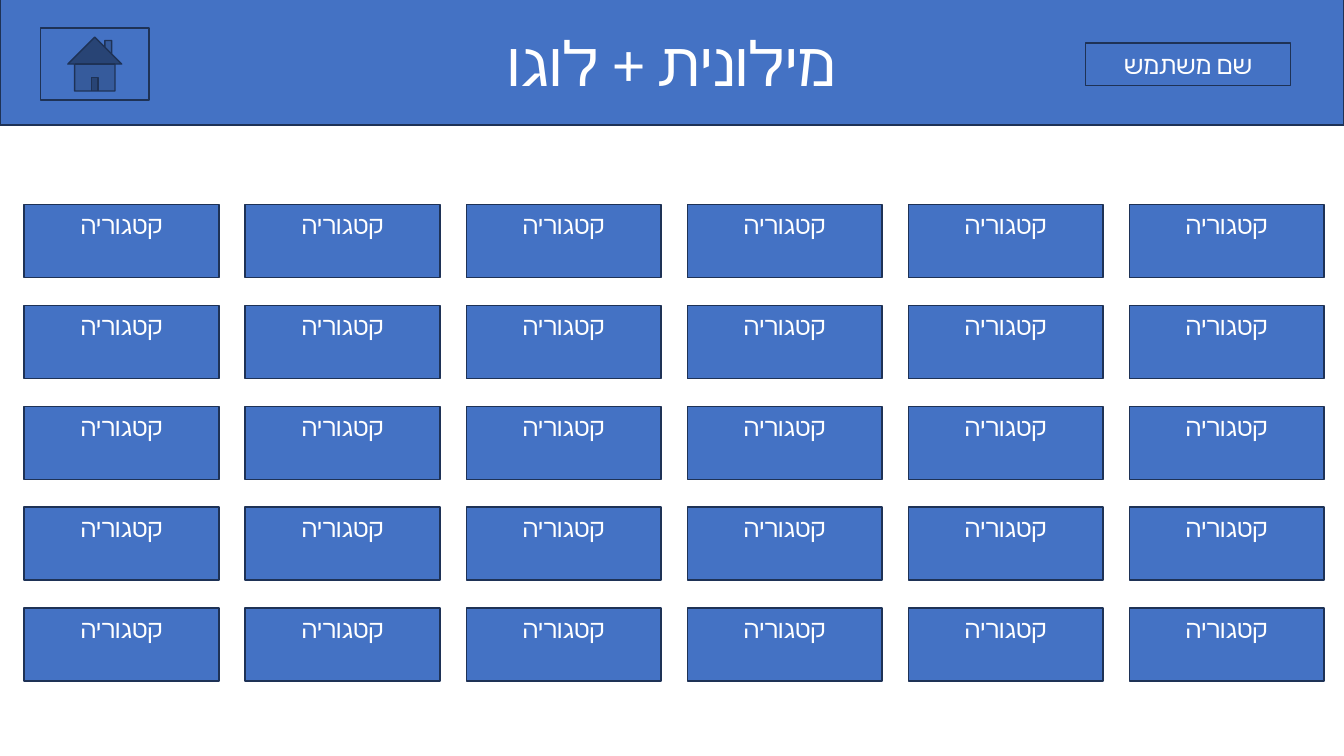
from pptx import Presentation
from pptx import util as u
from pptx.dml.color import RGBColor
from pptx.enum import shapes, text
from pptx.oxml.ns import qn
from lxml import etree

BLUE = RGBColor(0x44, 0x72, 0xC4)
NAVY = RGBColor(0x1E, 0x32, 0x56)
WHITE = RGBColor(0xFF, 0xFF, 0xFF)
FONT = "Calibri"

# Category grid, in cm
COLS, ROWS = 6, 5
GRID_LEFT, GRID_TOP = 0.61, 5.16
COL_STEP, ROW_STEP = 5.57, 2.54
CELL_W, CELL_H = 4.91, 1.84


def style_box(sp):
    sp.fill.solid()
    sp.fill.fore_color.rgb = BLUE
    sp.line.color.rgb = NAVY
    sp.line.width = u.Pt(1)


def write(sp, words, size, anchor=text.MSO_ANCHOR.MIDDLE):
    """Put one centred right-to-left line into a shape."""
    tf = sp.text_frame
    frame_format = {"word_wrap": True, "auto_size": text.MSO_AUTO_SIZE.NONE,
                    "vertical_anchor": anchor}
    for name, value in frame_format.items():
        setattr(tf, name, value)
    p = tf.paragraphs[0]
    p.alignment = text.PP_ALIGN.CENTER
    p._p.get_or_add_pPr().set("rtl", "1")
    r = p.add_run()
    r.text = words
    for name, value in {"name": FONT, "size": u.Pt(size)}.items():
        setattr(r.font, name, value)
    r.font.color.rgb = WHITE
    # Hebrew uses the complex-script font
    cs = etree.SubElement(r._r.get_or_add_rPr(), qn("a:cs"))
    cs.set("typeface", FONT)


def add_button(slide, kind, left, top, width, height):
    sp = slide.shapes.add_shape(kind, *map(u.Cm, (left, top, width, height)))
    sp.shadow.inherit = False
    style_box(sp)
    return sp


def add_header(slide):
    sp = slide.shapes.title
    place = {"left": 0, "top": -0.03, "width": 33.87, "height": 3.18}
    for name, value in place.items():
        setattr(sp, name, u.Cm(value))
    style_box(sp)
    write(sp, "מילונית + לוגו", 44)


def add_categories(slide):
    for row in range(ROWS):
        for col in range(COLS):
            sp = add_button(slide, shapes.MSO_SHAPE.ACTION_BUTTON_CUSTOM,
                            GRID_LEFT + col * COL_STEP,
                            GRID_TOP + row * ROW_STEP, CELL_W, CELL_H)
            write(sp, "קטגוריה", 18, text.MSO_ANCHOR.TOP)


def main():
    prs = Presentation()
    prs.slide_width, prs.slide_height = u.Cm(33.87), u.Cm(19.05)
    slide = prs.slides.add_slide(prs.slide_layouts[5])

    # Header band with user name and home button
    add_header(slide)
    user = add_button(slide, shapes.MSO_SHAPE.ACTION_BUTTON_CUSTOM,
                      27.36, 1.08, 5.16, 1.07)
    write(user, "שם משתמש", 18)
    add_button(slide, shapes.MSO_SHAPE.ACTION_BUTTON_HOME,
               1.02, 0.71, 2.74, 1.81)

    # Category buttons
    add_categories(slide)
    prs.save("out.pptx")


main()
